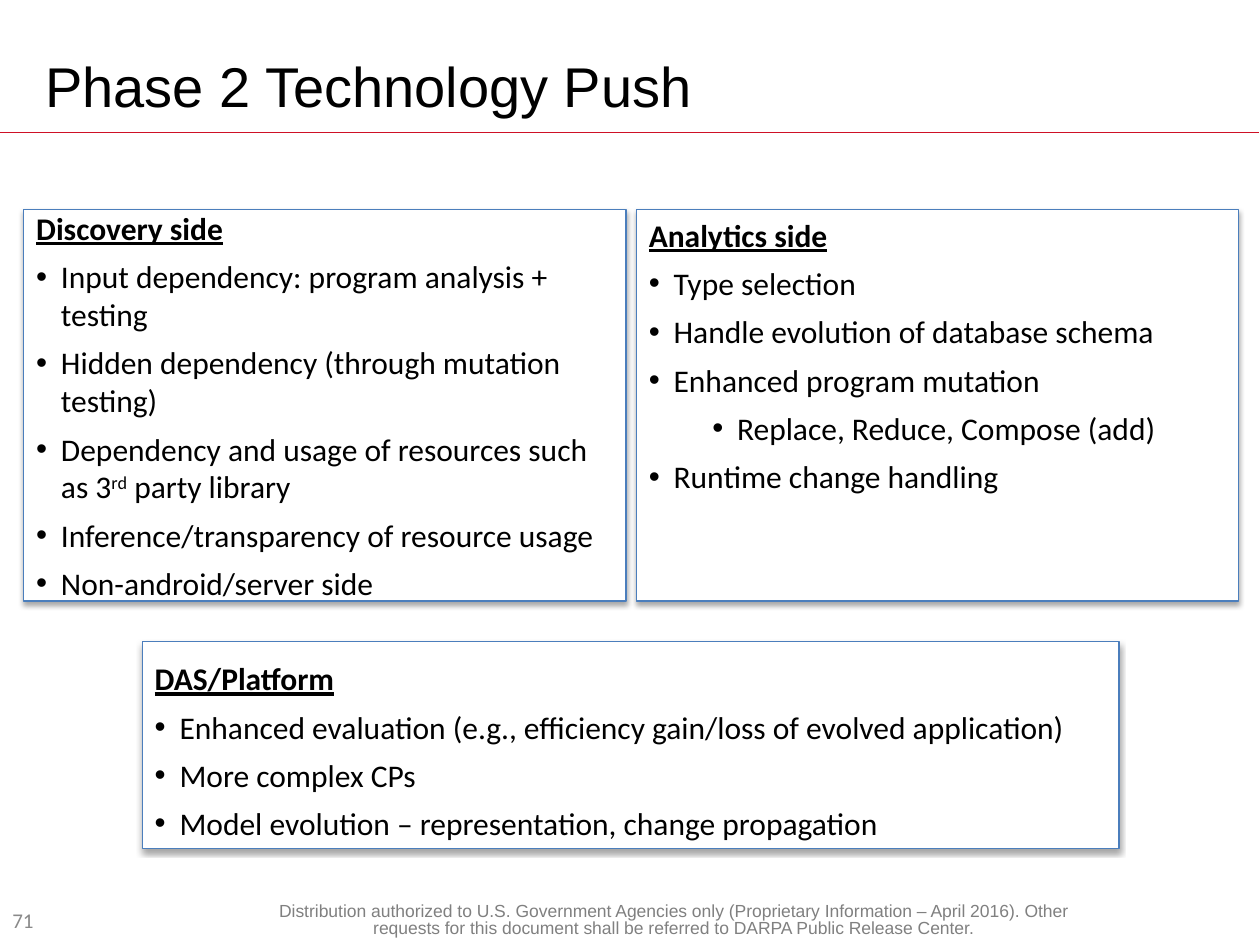
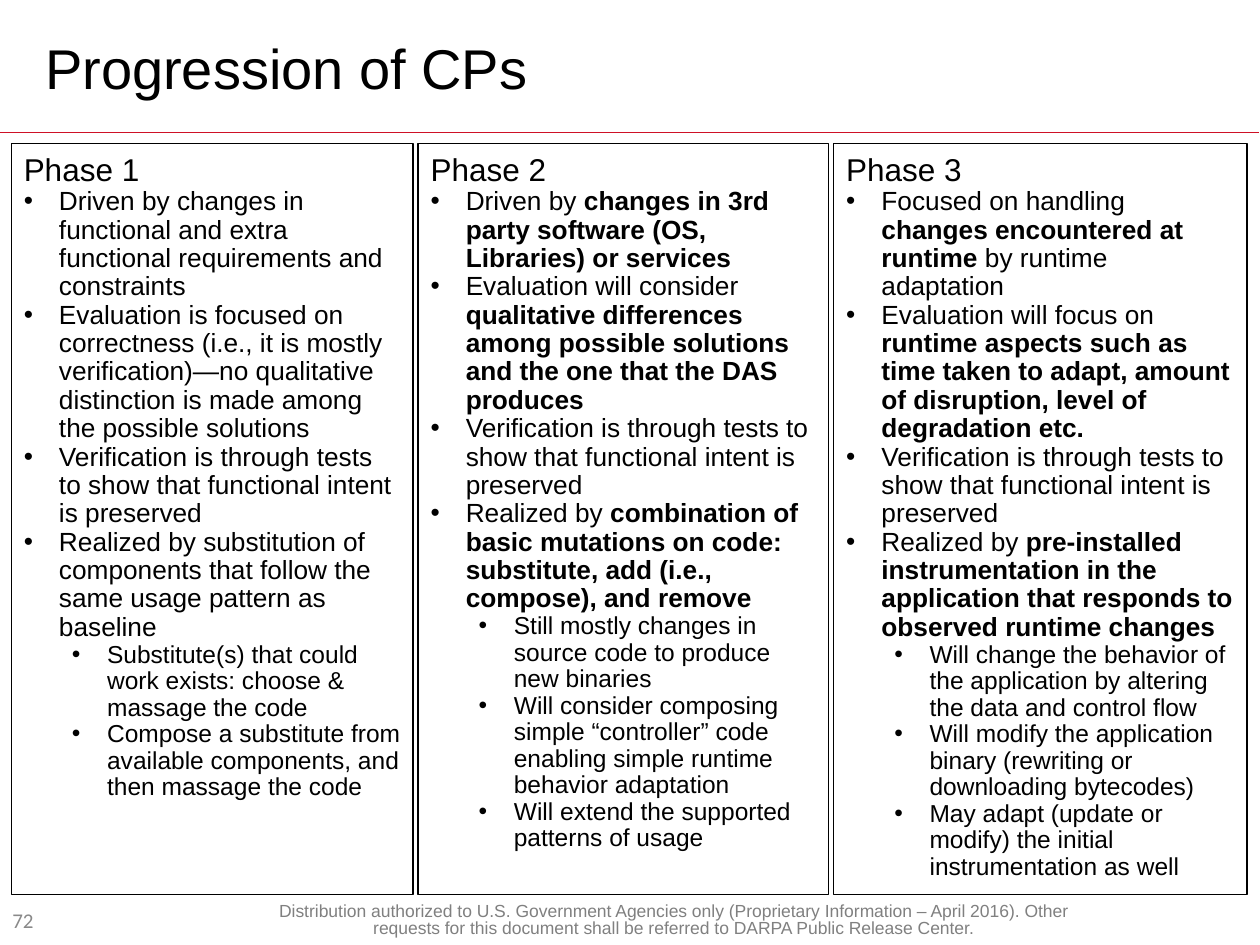
from dataclasses import dataclass
from typing import NamedTuple

from lxml.etree import SubElement
from pptx import Presentation
from pptx.dml.color import RGBColor
from pptx.enum.shapes import MSO_CONNECTOR as Connector, MSO_SHAPE as Shape
from pptx.enum.text import MSO_ANCHOR as Anchor, PP_ALIGN as Align
from pptx.oxml.ns import qn
from pptx.util import Cm, Pt

BLACK, WHITE, RULE_RED = "000000", "FFFFFF", "CE1126"
PANEL_BLUE, FOOTER_GREY, NUMBER_GREY = "4B7EBC", "808080", "898989"
SANS, BODY = "Arial", "Calibri"
FIRST_NUMBER = 71
NOTICE = (
    "Distribution authorized to U.S. Government Agencies only (Proprietary Information – April 2016). "
    "Other requests for this document shall be referred to DARPA Public Release Center."
)
VERIFICATION = "Verification is through tests to show that functional intent is preserved"


class Box(NamedTuple):
    """A place on the slide, in centimetres."""

    left: float
    top: float
    width: float
    height: float


class Point(NamedTuple):
    """A bullet whose *bold* and ^raised^ parts are marked."""

    text: str
    level: int = 0


@dataclass(frozen=True)
class PanelStyle:
    """The look shared by the panels of one slide."""

    font: str
    sizes: tuple[float, float]
    indents: tuple[float, float]
    hanging: float
    before: float
    line_spacing: float
    outline: str
    emphasised: bool
    raised: bool


@dataclass(frozen=True)
class Panel:
    """A heading with its bullets."""

    box: Box
    heading: str
    points: list[Point]
    anchor: Anchor = Anchor.TOP
    top_inset: float = 0.13


@dataclass(frozen=True)
class Page:
    """The content of one slide."""

    title: str
    title_top: float
    style: PanelStyle
    panels: list[Panel]


SIDES = PanelStyle(BODY, (18, 18), (0.5, 1.78), 0.5, 6, 1, PANEL_BLUE, True, True)
PHASES = PanelStyle(SANS, (15, 14), (0.71, 1.68), 0.71, 0, 0.9, BLACK, False, False)

SIDE_PANELS = [
    Panel(Box(0.48, 4.22, 12.14, 7.9), "Discovery side", [
        Point("Input dependency: program analysis + testing"),
        Point("Hidden dependency (through mutation testing)"),
        Point("Dependency and usage of resources such as 3^rd^ party library"),
        Point("Inference/transparency of resource usage"),
        Point("Non-android/server side"),
    ], Anchor.MIDDLE),
    Panel(Box(12.83, 4.22, 12.14, 7.9), "Analytics side", [
        Point("Type selection"),
        Point("Handle evolution of database schema"),
        Point("Enhanced program mutation"),
        Point("Replace, Reduce, Compose (add)", 1),
        Point("Runtime change handling"),
    ]),
    Panel(Box(2.87, 12.93, 19.69, 4.17), "DAS/Platform", [
        Point("Enhanced evaluation (e.g., efficiency gain/loss of evolved application)"),
        Point("More complex CPs"),
        Point("Model evolution – representation, change propagation"),
    ], top_inset=0.36),
]

PHASE_POINTS = [
    [
        Point("Driven by changes in functional and extra functional requirements and constraints"),
        Point("Evaluation is focused on correctness (i.e., it is mostly verification)—no qualitative "
              "distinction is made among the possible solutions"),
        Point(VERIFICATION),
        Point("Realized by substitution of components that follow the same usage pattern as baseline"),
        Point("Substitute(s) that could work exists: choose & massage the code", 1),
        Point("Compose a substitute from available components, and then massage the code", 1),
    ],
    [
        Point("Driven by *changes in 3rd party software (OS, Libraries) or services*"),
        Point("Evaluation will consider *qualitative differences among possible solutions "
              "and the one that the DAS produces*"),
        Point(VERIFICATION),
        Point("Realized by *combination of basic mutations on code: substitute, add (i.e., compose), "
              "and remove*"),
        Point("Still mostly changes in source code to produce new binaries", 1),
        Point("Will consider composing simple “controller” code enabling simple runtime "
              "behavior adaptation", 1),
        Point("Will extend the supported patterns of usage", 1),
    ],
    [
        Point("Focused on handling *changes encountered at runtime *by runtime adaptation"),
        Point("Evaluation will focus on *runtime aspects such as time taken to adapt, "
              "amount of disruption, level of degradation etc.*"),
        Point(VERIFICATION),
        Point("Realized by *pre-installed instrumentation in the application that responds "
              "to observed runtime changes*"),
        Point("Will change the behavior of the application by altering the data and control flow", 1),
        Point("Will modify the application binary (rewriting or downloading bytecodes)", 1),
        Point("May adapt (update or modify) the initial instrumentation as well", 1),
    ],
]


def phase_panels() -> list[Panel]:
    """Set the phases side by side with equal gaps."""
    panels, left, gap = [], 0.23, 0.1
    for number, (width, points) in enumerate(zip((8.1, 8.28, 8.33), PHASE_POINTS), start=1):
        panels.append(Panel(Box(left, 2.9, width, 15.14), f"Phase {number}", points))
        left += width + gap
    return panels


def colour(value: str) -> RGBColor:
    """Turn a hex string into a colour."""
    return RGBColor.from_string(value)


def place(box: Box) -> list[Cm]:
    """Turn a box into lengths."""
    return [Cm(length) for length in box]


def write(frame, text: str, *, size: float, font: str = SANS, ink: str = BLACK, bold: bool = False,
          underline: bool = False, align: Align = Align.LEFT, line_spacing: float = 1,
          before: float = 0, indent: float = 0, hanging: float = 0) -> None:
    """Add one paragraph, with a bullet if it has a hanging indent."""
    first = not frame.text
    paragraph = frame.paragraphs[0] if first else frame.add_paragraph()
    paragraph.alignment = align
    paragraph.line_spacing = line_spacing
    paragraph.space_before = Pt(0 if first else before)
    if hanging:
        properties = paragraph._p.get_or_add_pPr()
        properties.set("marL", str(Cm(indent)))
        properties.set("indent", str(-Cm(hanging)))
        SubElement(properties, qn("a:buFont"), typeface=SANS)
        SubElement(properties, qn("a:buChar"), char="•")
    for part_index, part in enumerate(text.split("*")):
        for piece_index, piece in enumerate(part.split("^")):
            if not piece:
                continue
            run = paragraph.add_run()
            run.text = piece
            run.font.name, run.font.size = font, Pt(size)
            run.font.bold = bold or part_index % 2 == 1
            run.font.underline = underline
            run.font.color.rgb = colour(ink)
            if piece_index % 2:
                run._r.get_or_add_rPr().set("baseline", "30000")


def add_label(slide, box: Box, text: str, anchor: Anchor = Anchor.MIDDLE, **style) -> None:
    """Add a text box holding one paragraph."""
    frame = slide.shapes.add_textbox(*place(box)).text_frame
    frame.word_wrap = True
    frame.vertical_anchor = anchor
    write(frame, text, **style)


def add_shadow(shape) -> None:
    """Give a shape a soft shadow below it."""
    effects = shape._element.spPr.find(qn("a:effectLst"))
    shadow = SubElement(effects, qn("a:outerShdw"), blurRad="40000", dist="23000",
                        dir="5400000", rotWithShape="0")
    tint = SubElement(shadow, qn("a:srgbClr"), val=BLACK)
    SubElement(tint, qn("a:alpha"), val="35000")


def add_panel(slide, panel: Panel, style: PanelStyle) -> None:
    """Draw an outlined panel with its heading and bullets."""
    card = slide.shapes.add_shape(Shape.RECTANGLE, *place(panel.box))
    card.shadow.inherit = False
    card.line.color.rgb = colour(style.outline)
    card.line.width = Pt(0.75)
    if style.raised:
        card.fill.solid()
        card.fill.fore_color.rgb = colour(WHITE)
        add_shadow(card)
    else:
        card.fill.background()
    frame = card.text_frame
    frame.word_wrap = True
    frame.vertical_anchor = panel.anchor
    frame.margin_top = Cm(panel.top_inset)
    write(frame, panel.heading, size=18, font=style.font,
          bold=style.emphasised, underline=style.emphasised)
    for point in panel.points:
        write(frame, point.text, size=style.sizes[point.level], font=style.font,
              line_spacing=style.line_spacing, before=style.before,
              indent=style.indents[point.level], hanging=style.hanging)


def add_frame(slide, page: Page, number: int) -> None:
    """Draw the title, rule, notice and number found on every slide."""
    rule = slide.shapes.add_connector(Connector.STRAIGHT, Cm(0), Cm(2.67), Cm(25.38), Cm(2.67))
    rule.line.color.rgb = colour(RULE_RED)
    rule.line.width = Pt(1)
    SubElement(rule._element.spPr, qn("a:effectLst"))
    add_label(slide, Box(5.36, 18.11, 16.43, 0.79), NOTICE, Anchor.TOP, size=10,
              ink=FOOTER_GREY, align=Align.CENTER, line_spacing=0.8)
    add_label(slide, Box(0.66, page.title_top, 22.86, 1.9), page.title, size=32)
    add_label(slide, Box(0, 18.03, 3.53, 1.02), str(number), size=12, font=BODY, ink=NUMBER_GREY)


def main() -> None:
    """Build and save the presentation."""
    deck = Presentation()
    deck.slide_width, deck.slide_height = Cm(25.4), Cm(19.05)
    pages = [
        Page("Phase 2 Technology Push", 0.76, SIDES, SIDE_PANELS),
        Page("Progression of CPs", 0.41, PHASES, phase_panels()),
    ]
    for number, page in enumerate(pages, start=FIRST_NUMBER):
        slide = deck.slides.add_slide(deck.slide_layouts[6])
        add_frame(slide, page, number)
        for panel in page.panels:
            add_panel(slide, panel, page.style)
    deck.save("out.pptx")


if __name__ == "__main__":
    main()
